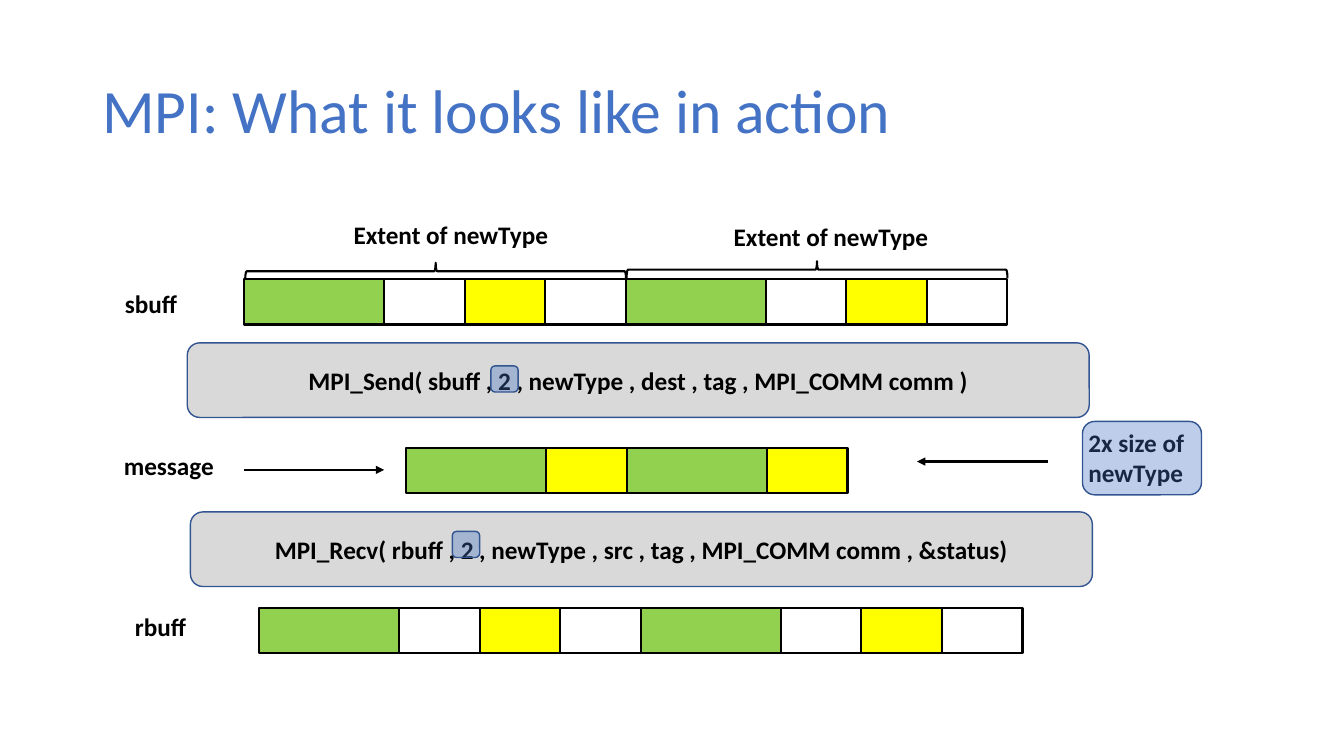
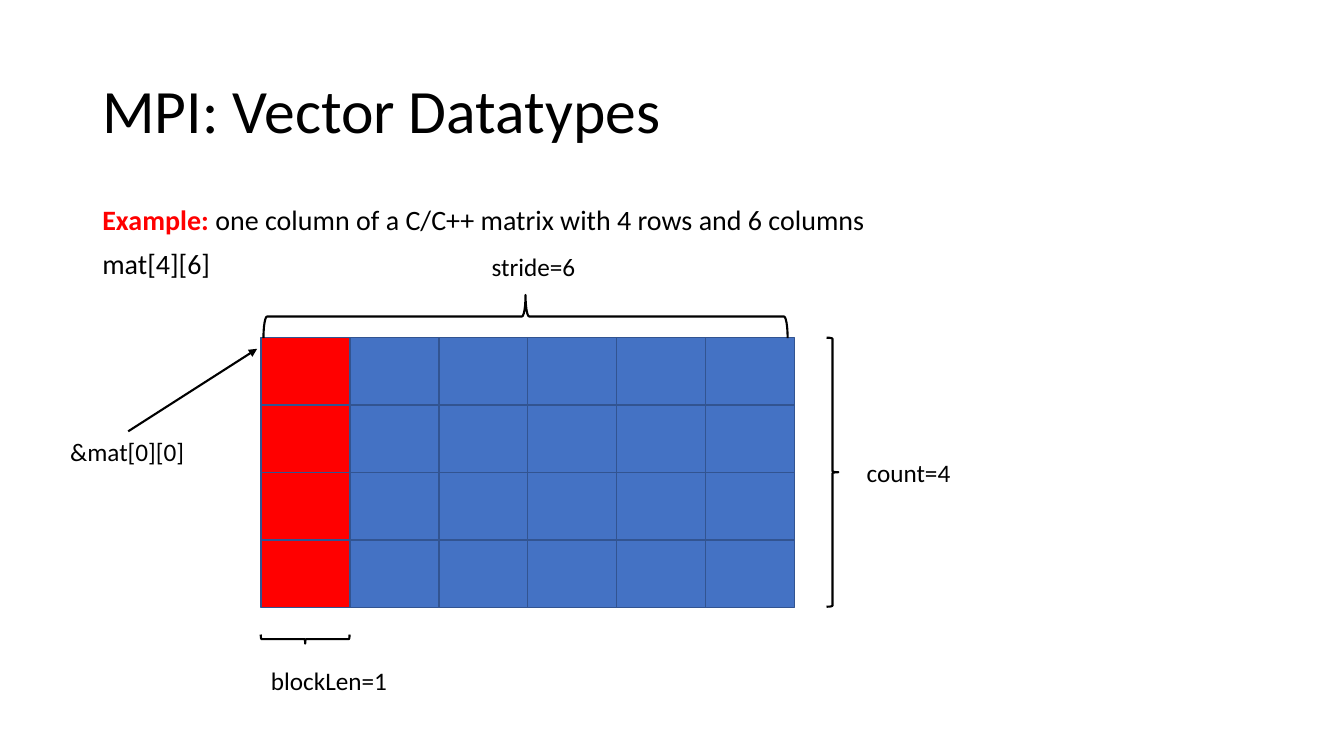
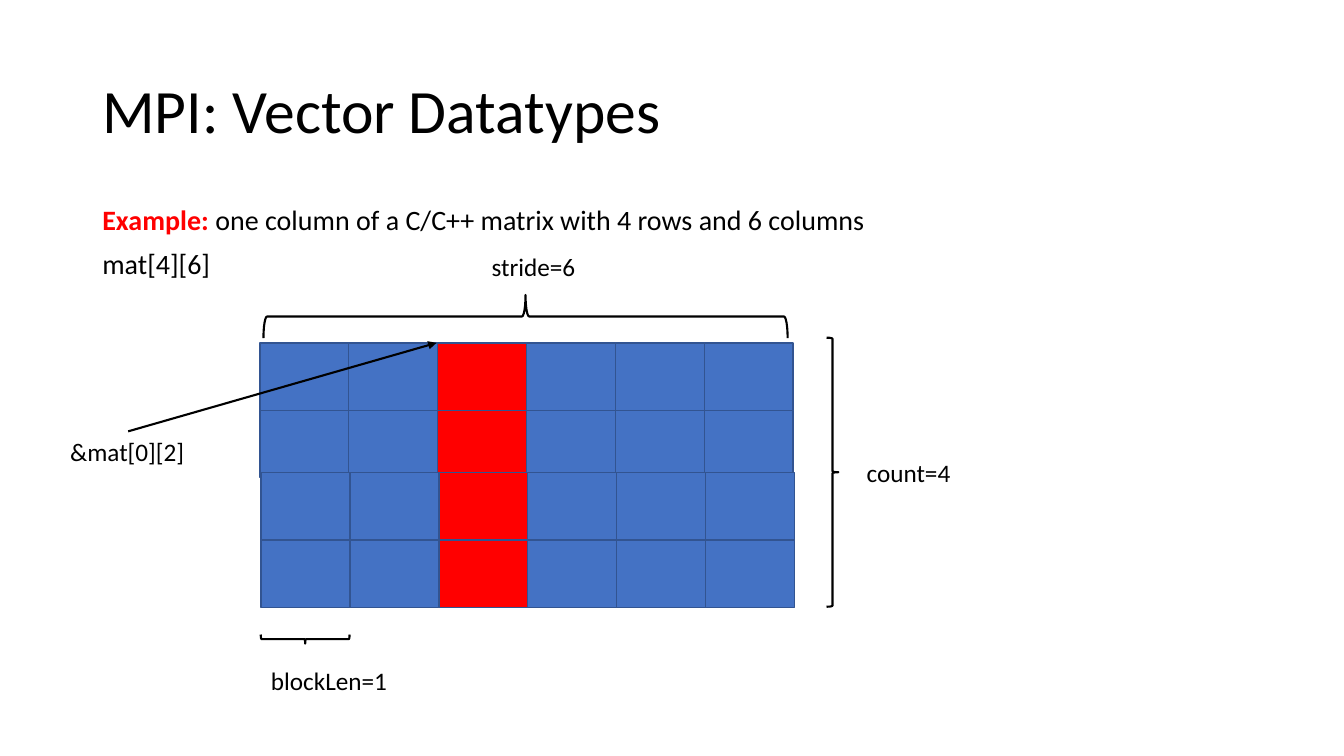
import pptx
import pptx.util
import pptx.dml.color
import pptx.enum.shapes
import pptx.enum.text
import pptx.oxml.ns
import pptx.oxml.xmlchemy

Cm = pptx.util.Cm
Kind = pptx.enum.shapes.MSO_SHAPE
Align = pptx.enum.text.PP_ALIGN
Anchor = pptx.enum.text.MSO_ANCHOR

BLACK, WHITE, RED = "000000", "FFFFFF", "FF0000"
BLUE, NAVY, GREY = "4472C4", "325491", "D9D9D9"
GREEN, YELLOW = "92D050", "FFFF00"


def color(code):
    return pptx.dml.color.RGBColor.from_string(code)


def node(tag, **attrs):
    item = pptx.oxml.xmlchemy.OxmlElement(tag)
    for key, val in attrs.items():
        item.set(key, val)
    return item


class Deck:
    """Shared style and the current slide; all lengths are in cm."""

    font = "Calibri"

    def __init__(self):
        self.prs = pptx.Presentation()
        self.prs.slide_width, self.prs.slide_height = Cm(33.87), Cm(19.05)

    def style(self, font, size, code=BLACK, bold=False):
        font.name, font.size, font.bold = self.font, pptx.util.Pt(size), bold
        font.color.rgb = color(code)

    def page(self, title, code=BLACK):
        self.slide = self.prs.slides.add_slide(self.prs.slide_layouts[6])
        frame = self.text(title, 2.33, 1.01, 29.21, 3.68, size=44, code=code)
        frame.vertical_anchor = Anchor.MIDDLE
        frame.paragraphs[0].line_spacing = 0.9

    def text(self, words, x, y, w, h=1.02, size=18, code=BLACK, bold=False):
        box = self.slide.shapes.add_textbox(Cm(x), Cm(y), Cm(w), Cm(h))
        frame = box.text_frame
        frame.word_wrap = True
        frame.text = words
        for par in frame.paragraphs:
            self.style(par.font, size, code, bold)
        return frame

    def body(self, lead, lines):
        """Lines of body text, the first opened by a bold red lead word."""
        frame = self.text("\n".join(lines), 2.33, 5.08, 29.21, 12.1, size=20)
        for par in frame.paragraphs:
            par.line_spacing, par.space_before = 0.9, pptx.util.Pt(10)
        head = frame.paragraphs[0]
        rest = head.runs[0].text
        head.runs[0].text = lead
        self.style(head.runs[0].font, 20, RED, True)
        head.add_run().text = rest

    def shape(self, kind, x, y, w, h, fill=None, line=BLACK, width=1.5):
        item = self.slide.shapes.add_shape(kind, Cm(x), Cm(y), Cm(w), Cm(h))
        item.shadow.inherit = False
        if fill:
            item.fill.solid()
            item.fill.fore_color.rgb = color(fill)
        else:
            item.fill.background()
        item.line.color.rgb = color(line)
        item.line.width = pptx.util.Pt(width)
        return item

    def call(self, words, x, y):
        """Grey bar holding a function call."""
        bar = self.shape(Kind.ROUNDED_RECTANGLE, x, y, 22.73, 1.88, GREY, NAVY, 1)
        frame = bar.text_frame
        frame.text, frame.vertical_anchor = words, Anchor.MIDDLE
        par = frame.paragraphs[0]
        par.alignment = Align.CENTER
        self.style(par.font, 18, bold=True)

    def mark(self, x, y, w=0.69, h=0.66):
        """See-through blue highlight."""
        item = self.shape(Kind.ROUNDED_RECTANGLE, x, y, w, h, BLUE, NAVY, 1)
        tint = item._element.spPr.find(".//" + pptx.oxml.ns.qn("a:srgbClr"))
        tint.append(node("a:alpha", val="35000"))

    def brace(self, x, y, w, h, turn=0):
        """Brace filling the box as seen, after the turn."""
        if turn:
            x, y, w, h = x + (w - h) / 2, y + (h - w) / 2, h, w
        self.shape(Kind.RIGHT_BRACE, x, y, w, h).rotation = turn

    def arrow(self, x1, y1, x2, y2):
        item = self.slide.shapes.add_connector(
            pptx.enum.shapes.MSO_CONNECTOR.STRAIGHT, Cm(x1), Cm(y1), Cm(x2), Cm(y2))
        item.line.color.rgb = color(BLACK)
        item.line.width = pptx.util.Pt(1.5)
        props = item._element.spPr
        props.find(pptx.oxml.ns.qn("a:ln")).append(node("a:tailEnd", type="triangle"))
        props.append(node("a:effectLst"))

    def strip(self, x, y, fills):
        """Memory row: green blocks are wide, all others narrow."""
        for fill in fills:
            w = 3.53 if fill == GREEN else 2.03
            self.shape(Kind.RECTANGLE, x, y, w, 1.14, fill)
            x += w

    def grid(self, x, y, rows, pick, cols=6, w=2.24, h=1.7):
        """Matrix cells with one picked column in red."""
        for row in range(rows):
            for col in range(cols):
                fill = RED if col == pick else BLUE
                self.shape(Kind.RECTANGLE, x + col * w, y + row * h, w, h, fill, NAVY, 1)


def action(deck):
    deck.page("MPI: What it looks like in action", BLUE)

    # Buffers and message
    kind = [GREEN, WHITE, YELLOW, WHITE]
    deck.strip(10.24, 11.28, [GREEN, YELLOW] * 2)
    deck.strip(6.53, 15.32, kind * 2)
    deck.strip(6.15, 7.04, kind * 2)
    for words, x, y in (("sbuff", 2.9, 7.14), ("message", 2.87, 11.23), ("rbuff", 3.15, 15.29)):
        deck.text(words, x, y, 3.81, bold=True)

    # Extents
    for x, y, left, top in ((8.66, 5.41, 6.18, 6.62), (18.24, 5.44, 15.79, 6.58)):
        deck.text("Extent of newType", x, y, 5.64, bold=True)
        deck.brace(left, top, 9.6, 0.43, 270)

    # Calls, arrows and highlights
    deck.arrow(6.15, 11.84, 9.68, 11.84)
    deck.call("MPI_Send( sbuff , 2 , newType , dest , tag , MPI_COMM comm )", 4.72, 8.64)
    deck.call("MPI_Recv( rbuff , 2 , newType , src , tag , MPI_COMM comm , &status)", 4.8, 12.9)
    deck.text("2x size of newType", 27.18, 10.64, 3.81, 1.8, bold=True)
    deck.arrow(26.42, 11.63, 23.11, 11.63)
    deck.mark(11.4, 13.39)
    deck.mark(27.28, 10.62, 3, 1.85)
    deck.mark(12.37, 9.22)


def vector(deck, pick, grids, tip):
    deck.page("MPI: Vector Datatypes")
    deck.body("Example: ", ["one column of a C/C++ matrix with 4 rows and 6 columns", "mat[4][6]"])
    for x, y, rows in grids:
        deck.grid(x, y, rows, pick)

    # Braces and labels
    deck.brace(20.83, 8.51, 0.3, 6.78)
    deck.brace(6.57, 15.99, 2.24, 0.23, 90)
    deck.brace(6.64, 7.43, 13.21, 1.09, 270)
    labels = (("count=4", 21.59, 11.4), ("blockLen=1", 6.58, 16.64),
              (f"&mat[0][{pick}]", 1.52, 10.87), ("stride=6", 12.14, 6.2))
    for words, x, y in labels:
        deck.text(words, x, y, 4)
    deck.arrow(3.23, 10.87, *tip)


def main():
    deck = Deck()
    action(deck)
    vector(deck, 0, [(6.58, 8.51, 4)], (6.48, 8.79))
    vector(deck, 2, [(6.55, 8.64, 2), (6.58, 11.91, 2)], (11, 8.64))
    deck.prs.save("out.pptx")


if __name__ == "__main__":
    main()
